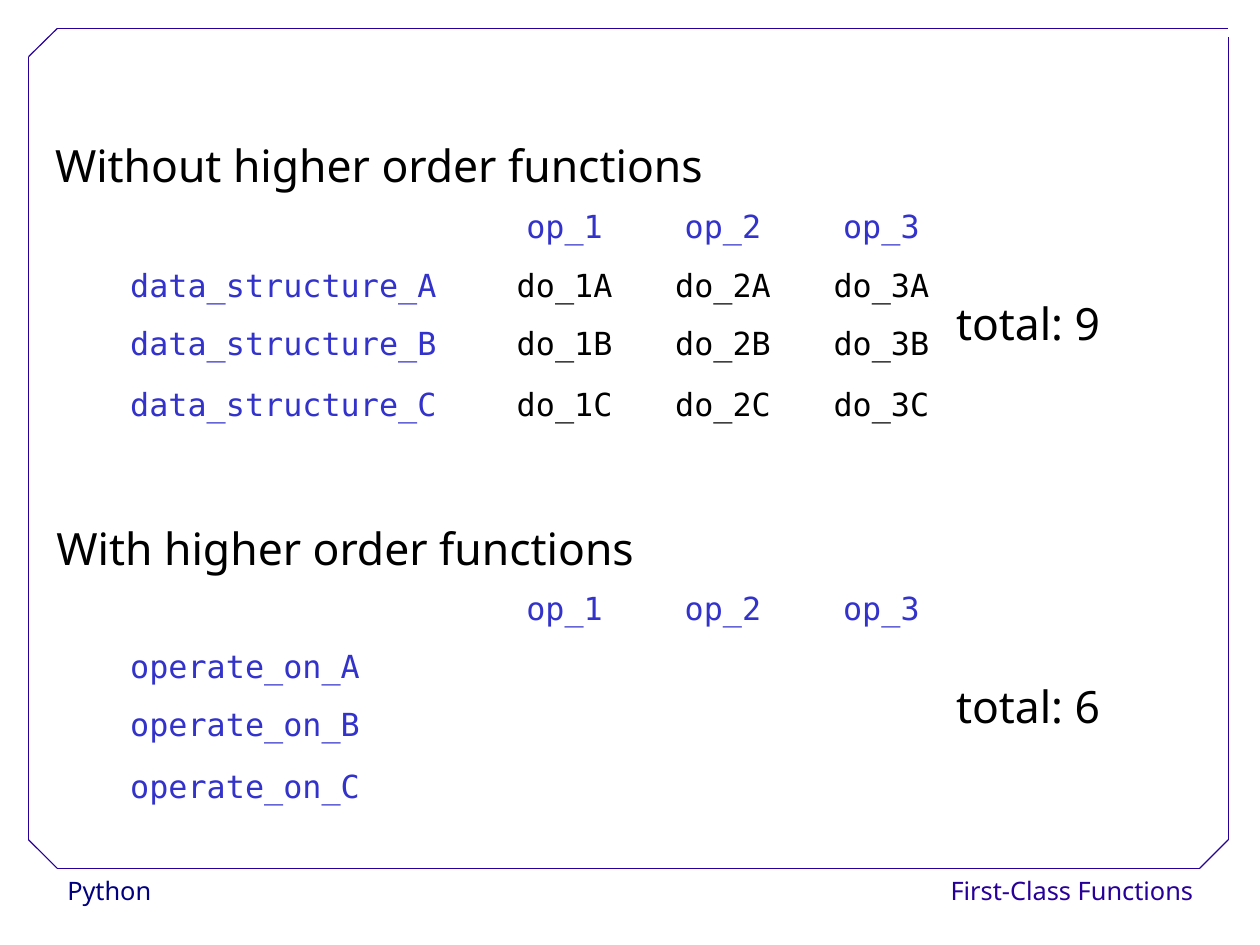
from pptx import Presentation
from pptx.dml.color import RGBColor
from pptx.enum.shapes import MSO_CONNECTOR, MSO_SHAPE
from pptx.enum.text import MSO_ANCHOR, MSO_AUTO_SIZE, PP_ALIGN
from pptx.oxml.ns import qn
from pptx.util import Pt
from lxml import etree

SANS, MONO = "Noto Sans", "DejaVu Sans Mono"
BLACK, WHITE, BLUE, NAVY, INDIGO = "000000", "FFFFFF", "3333CC", "000080", "280099"

# Sheet frame: outer edges and the inner ends of the cut corners
LEFT, TOP, RIGHT, BOTTOM = 18, 18, 773.8, 546.9
CUT_LEFT, CUT_TOP, CUT_RIGHT, CUT_BOTTOM = 36, 35.7, 755.8, 529
FRAME_EDGES = [
    (CUT_LEFT, BOTTOM, CUT_RIGHT, BOTTOM),
    (LEFT, CUT_BOTTOM, LEFT, CUT_TOP),
    (CUT_LEFT, TOP, RIGHT, TOP),
    (RIGHT, CUT_BOTTOM, RIGHT, 23.3),
    (LEFT, CUT_TOP, CUT_LEFT, TOP),
    (CUT_RIGHT, BOTTOM, RIGHT, CUT_BOTTOM),
    (LEFT, CUT_BOTTOM, CUT_LEFT, BOTTOM),
]

# Matrix of functions
COLUMN_WIDTHS = [231, 99.8, 99.8, 99.8]
ROW_HEIGHTS = [36.6, 36.6, 38.9, 42.3]
OPERATIONS = ["op_1", "op_2", "op_3"]
LETTERS = "ABC"


def rgb(color):
    return RGBColor.from_string(color)


def write(frame, text, size, font, color, align, spacing):
    frame.text = text
    line = frame.paragraphs[0]
    line.alignment = align
    line.line_spacing = spacing
    style = line.runs[0].font
    style.size, style.name = Pt(size), font
    style.color.rgb = rgb(color)
    return line


def add_edge(slide, x1, y1, x2, y2):
    edge = slide.shapes.add_connector(
        MSO_CONNECTOR.STRAIGHT, Pt(x1), Pt(y1), Pt(x2), Pt(y2))
    edge.line.color.rgb = rgb(INDIGO)
    edge.line.width = Pt(0.75)
    etree.SubElement(edge._element.spPr, qn("a:effectLst"))


def add_footer(slide, text, x, width, color, align):
    footer = slide.shapes.add_shape(
        MSO_SHAPE.RECTANGLE, Pt(x), Pt(547.2), Pt(width), Pt(28.8))
    footer.shadow.inherit = False
    footer.fill.solid()
    footer.fill.fore_color.rgb = rgb(WHITE)
    footer.line.fill.background()
    frame = footer.text_frame
    frame.word_wrap = False
    frame.vertical_anchor = MSO_ANCHOR.TOP
    write(frame, text, 16, SANS, color, align, 1.02)


def add_statement(slide, text, x, y, width):
    statement = slide.shapes.add_textbox(Pt(x), Pt(y), Pt(width), Pt(57.6))
    frame = statement.text_frame
    frame.word_wrap = False
    frame.auto_size = MSO_AUTO_SIZE.SHAPE_TO_FIT_TEXT
    write(frame, text, 28, SANS, BLACK, PP_ALIGN.LEFT, 1.5)


def add_matrix(slide, rows, y):
    matrix = slide.shapes.add_table(
        len(rows), len(COLUMN_WIDTHS), Pt(74.8), Pt(y),
        Pt(sum(COLUMN_WIDTHS)), Pt(sum(ROW_HEIGHTS))).table
    matrix.first_row = matrix.horz_banding = False
    for column, width in zip(matrix.columns, COLUMN_WIDTHS):
        column.width = Pt(width)
    for row, height in zip(matrix.rows, ROW_HEIGHTS):
        row.height = Pt(height)
    for r, row in enumerate(rows):
        for c, text in enumerate(row):
            cell = matrix.cell(r, c)
            cell.fill.background()
            if text:
                color = BLACK if r and c else BLUE
                align = PP_ALIGN.CENTER if c else PP_ALIGN.LEFT
                line = write(cell.text_frame, text, 20, MONO, color, align, 0.93)
                line.space_after = Pt(14.2)


def main():
    deck = Presentation()
    deck.slide_width, deck.slide_height = Pt(793.75), Pt(595.25)
    slide = deck.slides.add_slide(deck.slide_layouts[6])

    # Footers and frame
    add_footer(slide, "Python", 35.3, 154.8, NAVY, PP_ALIGN.LEFT)
    add_footer(slide, "First-Class Functions", 658, 100.8, INDIGO, PP_ALIGN.RIGHT)
    for edge in FRAME_EDGES:
        add_edge(slide, *edge)

    # One function for every pair of operation and structure
    header = [""] + OPERATIONS
    pairs = [[f"data_structure_{letter}"] + [f"do_{n}{letter}" for n in (1, 2, 3)]
             for letter in LETTERS]
    add_statement(slide, "Without higher order functions", 27.6, 66.6, 494.6)
    add_matrix(slide, [header] + pairs, 129.6)

    # Operations passed to one function per structure
    operators = [[f"operate_on_{letter}", "", "", ""] for letter in LETTERS]
    add_statement(slide, "With higher order functions", 28.5, 307.8, 450.7)
    add_matrix(slide, [header] + operators, 369.8)

    # Totals
    add_statement(slide, "total: 9", 595.2, 166, 177)
    add_statement(slide, "total: 6", 595.2, 407.5, 177)

    deck.save("out.pptx")


if __name__ == "__main__":
    main()
